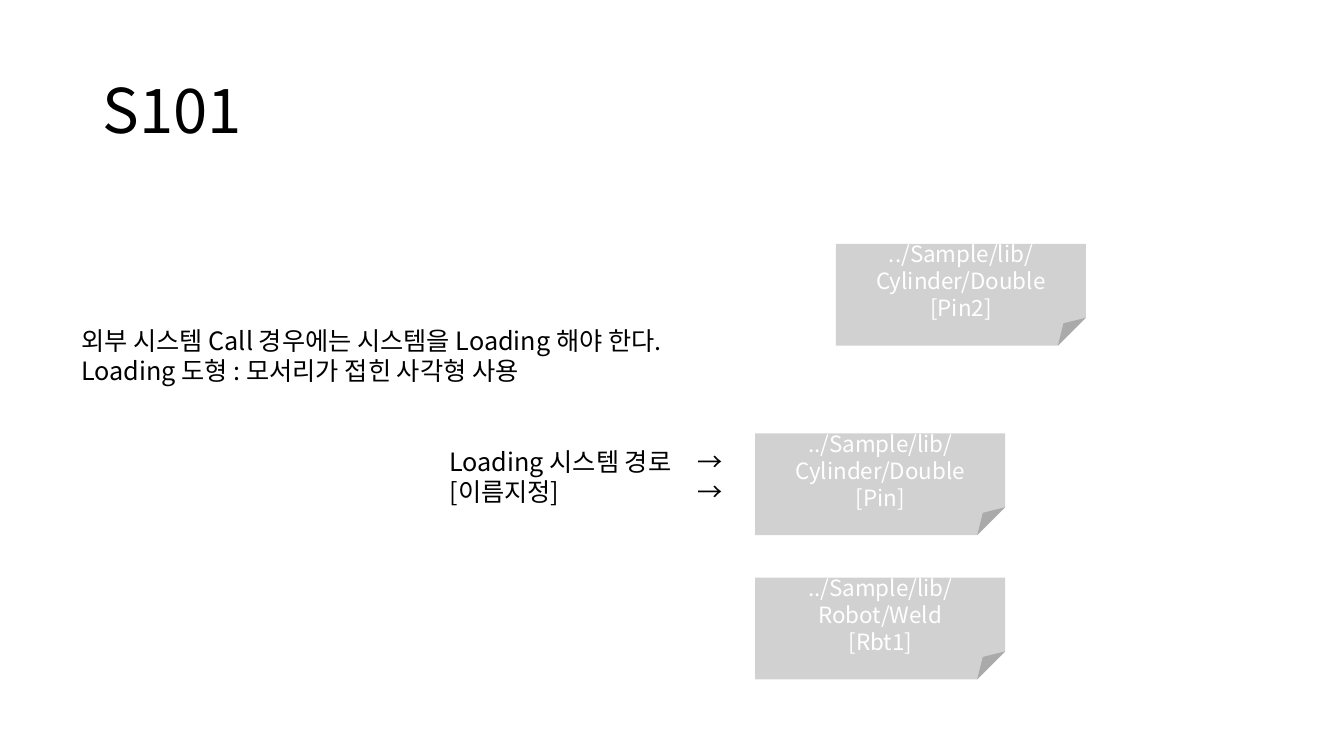
from dataclasses import dataclass

from lxml.etree import SubElement
from pptx import Presentation
from pptx.dml.color import RGBColor
from pptx.enum.shapes import MSO_SHAPE
from pptx.enum.text import MSO_ANCHOR, PP_ALIGN
from pptx.oxml.ns import qn
from pptx.util import Inches, Pt


@dataclass(frozen=True)
class Theme:
    font: str = "Noto Sans CJK KR"
    text: str = "000000"
    card: str = "A5A5A5"
    card_text: str = "FFFFFF"
    card_opacity: int = 50
    title_size: int = 44
    body_size: int = 18
    card_size: int = 16


THEME = Theme()

TITLE = "S101"
TITLE_BOX = (0.92, 0.4, 11.5, 1.45)

# Lines, box, tab stop
NOTES = [
    (["Loading 시스템 경로\t→", "[이름지정]\t→"], (4.36, 4.38, 4.28, 0.71), 2.46),
    (["외부 시스템 Call 경우에는 시스템을 Loading 해야 한다.",
      "Loading 도형 : 모서리가 접힌 사각형 사용"], (0.71, 3.18, 10.58, 0.71), None),
]

# Path, name, left, top
CARDS = [
    ("../Sample/lib/Cylinder/Double", "[Pin]", 7.49, 4.3),
    ("../Sample/lib/Robot/Weld", "[Rbt1]", 7.49, 5.73),
    ("../Sample/lib/Cylinder/Double", "[Pin2]", 8.29, 2.42),
]
CARD_WIDTH, CARD_HEIGHT = 2.48, 1.01
CARD_FOLD = 27500  # thousandths of a percent of the shorter side


def write(frame, lines, *, size, color=THEME.text, align=PP_ALIGN.LEFT,
          anchor=MSO_ANCHOR.TOP, line_spacing=None, tab=None):
    frame.word_wrap = True
    frame.vertical_anchor = anchor
    for index, line in enumerate(lines):
        paragraph = frame.paragraphs[0] if index == 0 else frame.add_paragraph()
        paragraph.alignment = align
        if line_spacing:
            paragraph.line_spacing = line_spacing
        if tab:
            tabs = SubElement(paragraph._p.get_or_add_pPr(), qn("a:tabLst"))
            SubElement(tabs, qn("a:tab"), pos=str(Inches(tab)), algn="l")
        run = paragraph.add_run()
        run.text = line
        run.font.size = Pt(size)
        run.font.color.rgb = RGBColor.from_string(color)
        run.font.name = THEME.font
        SubElement(run._r.get_or_add_rPr(), qn("a:ea"), typeface=THEME.font)


def add_title(slide):
    title = slide.shapes.title
    title.left, title.top, title.width, title.height = map(Inches, TITLE_BOX)
    write(title.text_frame, [TITLE], size=THEME.title_size,
          anchor=MSO_ANCHOR.MIDDLE, line_spacing=0.9)


def add_note(slide, lines, box, tab):
    shape = slide.shapes.add_textbox(*map(Inches, box))
    write(shape.text_frame, lines, size=THEME.body_size, tab=tab)


def add_card(slide, path_text, name, left, top):
    box = map(Inches, (left, top, CARD_WIDTH, CARD_HEIGHT))
    shape = slide.shapes.add_shape(MSO_SHAPE.FOLDED_CORNER, *box)
    properties = shape._element.spPr
    guides = properties.find(qn("a:prstGeom")).find(qn("a:avLst"))
    for guide in list(guides):
        guides.remove(guide)
    SubElement(guides, qn("a:gd"), name="adj", fmla=f"val {CARD_FOLD}")
    shape.shadow.inherit = False
    shape.line.fill.background()
    shape.fill.solid()
    shape.fill.fore_color.rgb = RGBColor.from_string(THEME.card)
    color = properties.find(qn("a:solidFill")).find(qn("a:srgbClr"))
    SubElement(color, qn("a:alpha"), val=str(THEME.card_opacity * 1000))
    write(shape.text_frame, [path_text, name], size=THEME.card_size,
          color=THEME.card_text, align=PP_ALIGN.CENTER, anchor=MSO_ANCHOR.MIDDLE)


def main():
    presentation = Presentation()
    presentation.slide_width = Inches(13.33)
    presentation.slide_height = Inches(7.5)
    slide = presentation.slides.add_slide(presentation.slide_layouts[5])
    add_title(slide)
    for note in NOTES:
        add_note(slide, *note)
    for card in CARDS:
        add_card(slide, *card)
    presentation.save("out.pptx")


if __name__ == "__main__":
    main()
